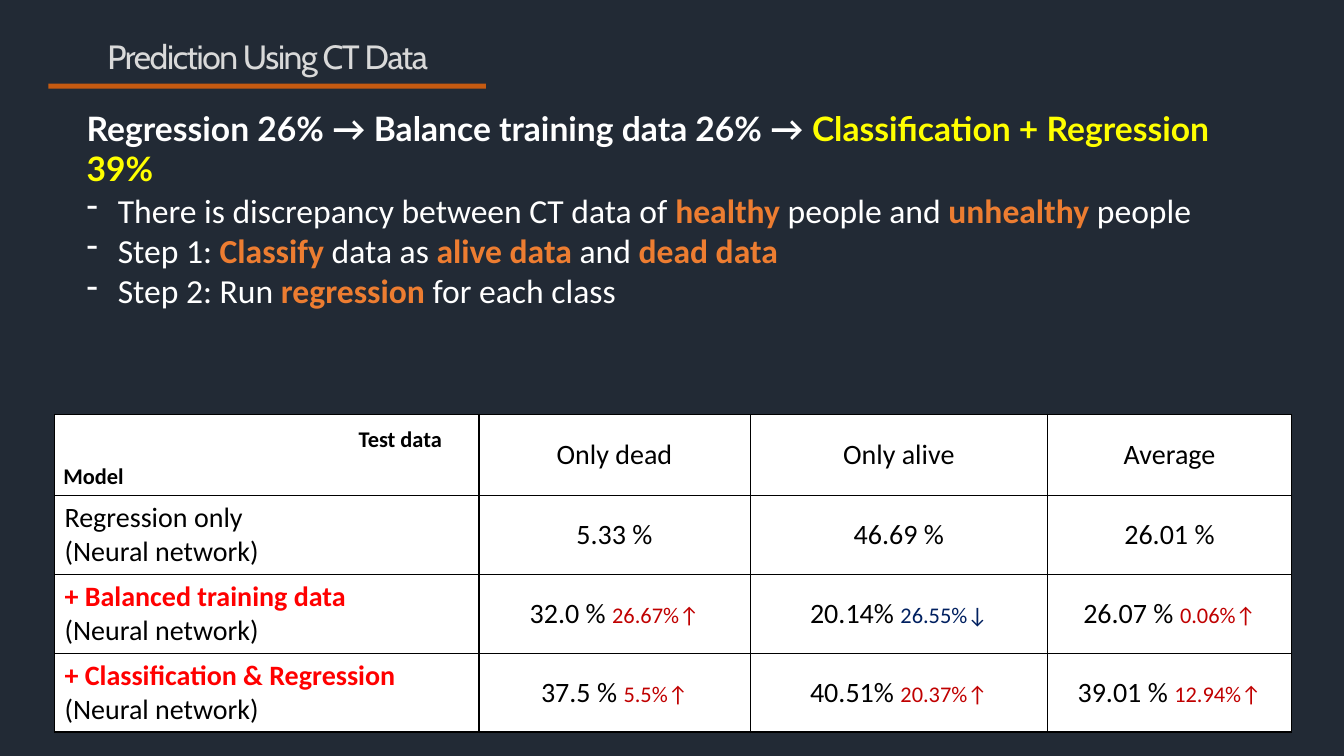
from lxml import etree
from pptx import Presentation
from pptx.dml.color import RGBColor
from pptx.enum.shapes import MSO_SHAPE
from pptx.enum.text import MSO_ANCHOR, MSO_AUTO_SIZE, PP_ALIGN
from pptx.oxml.ns import qn
from pptx.util import Inches, Pt

NAVY = RGBColor(0x22, 0x2A, 0x35)
WHITE = RGBColor(0xFF, 0xFF, 0xFF)
BLACK = RGBColor(0, 0, 0)
GRAY = RGBColor(0xD9, 0xD9, 0xD9)
RUST = RGBColor(0xC5, 0x5A, 0x11)
ORANGE = RGBColor(0xED, 0x7D, 0x31)
YELLOW = RGBColor(0xFF, 0xFF, 0)
RED = RGBColor(0xFF, 0, 0)
DARK_RED = RGBColor(0xC0, 0, 0)
DARK_BLUE = RGBColor(0, 0x20, 0x60)
LEFT, CENTER = PP_ALIGN.LEFT, PP_ALIGN.CENTER
TOP, MIDDLE = MSO_ANCHOR.TOP, MSO_ANCHOR.MIDDLE
RECTANGLE = MSO_SHAPE.RECTANGLE
NO_AUTOFIT = MSO_AUTO_SIZE.NONE

KEY = {"color": ORANGE, "bold": True}
STEPS = [
    [("There is discrepancy between CT data of ", {}), ("healthy", KEY),
     (" people and ", {}), ("unhealthy", KEY), (" people", {})],
    [("Step 1: ", {}), ("Classify", KEY), (" data as ", {}), ("alive data", KEY),
     (" and ", {}), ("dead data", KEY)],
    [("Step 2: Run ", {}), ("regression", KEY), (" for each class", {})],
]
TEST_SETS = ["Only dead", "Only alive", "Average"]
# Model, then a score and its change for each test set
RESULTS = [
    ("Regression only", [("5.33 %", ""), ("46.69 %", ""), ("26.01 %", "")]),
    ("+ Balanced training data",
     [("32.0 % ", "26.67%↑"), ("20.14% ", "26.55%↓"), ("26.07 % ", "0.06%↑")]),
    ("+ Classification & Regression",
     [("37.5 % ", "5.5%↑"), ("40.51% ", "20.37%↑"), ("39.01 % ", "12.94%↑")]),
]
COLUMN_WIDTHS = [4.21, 2.69, 2.95, 2.42]
ROW_HEIGHTS = [0.81, 0.73, 0.73, 0.73]


def add_span(para, text, font="Calibri", size=24, color=WHITE, bold=False):
    span = para.add_run()
    span.text = text
    span.font.name = font
    span.font.size = Pt(size)
    span.font.color.rgb = color
    span.font.bold = bold
    return span


def write(frame, paras, align=LEFT, line_spacing=1.0, space_before=0, **style):
    """Fill a text frame with paragraphs, each a list of (text, overrides)."""
    for index, spans in enumerate(paras):
        para = frame.paragraphs[0] if index == 0 else frame.add_paragraph()
        para.alignment = align
        para.line_spacing = line_spacing
        para.space_before = Pt(space_before)
        for text, overrides in spans:
            add_span(para, text, **{**style, **overrides})


def set_bullet(para, character=None, indent=0.0):
    properties = para._p.get_or_add_pPr()
    properties.set("marL", str(Inches(indent)))
    properties.set("indent", str(-Inches(indent)))
    if character:
        etree.SubElement(properties, qn("a:buChar"), char=character)
    else:
        etree.SubElement(properties, qn("a:buNone"))


def place(shape, left, top, width, height, anchor):
    shape.left, shape.top = Inches(left), Inches(top)
    shape.width, shape.height = Inches(width), Inches(height)
    frame = shape.text_frame
    frame.word_wrap = True
    frame.auto_size = NO_AUTOFIT
    frame.vertical_anchor = anchor
    return frame


def add_text_box(page, left, top, width, height, paras, **style):
    box = page.shapes.add_textbox(0, 0, 0, 0)
    frame = place(box, left, top, width, height, TOP)
    write(frame, paras, **style)
    return frame


def add_bar(page, left, top, width, height, color):
    bar = page.shapes.add_shape(
        RECTANGLE, Inches(left), Inches(top), Inches(width), Inches(height))
    bar.shadow.inherit = False
    bar.fill.solid()
    bar.fill.fore_color.rgb = color
    bar.line.fill.background()


def format_cell(cell):
    cell.vertical_anchor = MIDDLE
    cell.fill.solid()
    cell.fill.fore_color.rgb = WHITE
    properties = cell._tc.get_or_add_tcPr()
    for position, side in enumerate(("a:lnL", "a:lnR", "a:lnT", "a:lnB")):
        border = etree.Element(qn(side), w=str(Pt(1)))
        fill = etree.SubElement(border, qn("a:solidFill"))
        etree.SubElement(fill, qn("a:srgbClr"), val=str(BLACK))
        properties.insert(position, border)


def add_results_table(page):
    table = page.shapes.add_table(
        len(ROW_HEIGHTS), len(COLUMN_WIDTHS), Inches(0.54), Inches(4.11),
        Inches(sum(COLUMN_WIDTHS)), Inches(sum(ROW_HEIGHTS))).table
    for column, width in zip(table.columns, COLUMN_WIDTHS):
        column.width = Inches(width)
    for row, height in zip(table.rows, ROW_HEIGHTS):
        row.height = Inches(height)
    for cell in table.iter_cells():
        format_cell(cell)

    style = {"size": 20, "color": BLACK}
    for column, name in enumerate(TEST_SETS, start=1):
        cell = table.cell(0, column)
        cell.margin_left = cell.margin_right = 0
        cell.margin_top = cell.margin_bottom = 0
        write(cell.text_frame, [[(name, {})]], align=CENTER, **style)

    for row, (model, scores) in enumerate(RESULTS, start=1):
        accent = {"color": RED, "bold": True} if model.startswith("+") else {}
        write(table.cell(row, 0).text_frame,
              [[(model, accent)], [("(Neural network)", {})]], **style)
        for column, (score, change) in enumerate(scores, start=1):
            spans = [(score, {})]
            if change:
                color = DARK_BLUE if change.endswith("↓") else DARK_RED
                spans.append((change, {"size": 16, "color": color}))
            write(table.cell(row, column).text_frame, [spans], align=CENTER, **style)


def main():
    deck = Presentation()
    deck.slide_width, deck.slide_height = Inches(13.33), Inches(7.5)
    page = deck.slides.add_slide(deck.slide_layouts[1])
    page.background.fill.solid()
    page.background.fill.fore_color.rgb = NAVY

    # Title and underline
    title = place(page.shapes.title, -0.3, 0.31, 5.91, 0.54, MIDDLE)
    write(title, [[("Prediction Using CT Data", {})]], align=CENTER,
          line_spacing=0.9, font="Cabin", color=GRAY)
    title.paragraphs[0].runs[0].font._element.set("spc", "-100")
    add_bar(page, 0.48, 0.83, 4.34, 0.05, RUST)

    # Summary line
    summary = place(page.placeholders[1], 0.76, 1.11, 11.81, 0.72, MIDDLE)
    write(summary, [[("Regression 26% → Balance training data 26% → ", {}),
                     ("Classification + Regression 39%", {"color": YELLOW})]],
          space_before=1, font="Lato", bold=True)
    set_bullet(summary.paragraphs[0])

    # Steps
    steps = add_text_box(page, 0.76, 1.83, 11.81, 1.31, STEPS)
    for para in steps.paragraphs:
        set_bullet(para, "-", 0.31)

    # Results, with the two labels of the corner cell
    add_results_table(page)
    for left, top, width, label in ((3.46, 4.17, 1.36, "Test data"),
                                    (0.53, 4.54, 0.99, "Model")):
        add_text_box(page, left, top, width, 0.37, [[(label, {})]],
                     size=16, color=BLACK, bold=True)

    deck.save("out.pptx")


if __name__ == "__main__":
    main()
